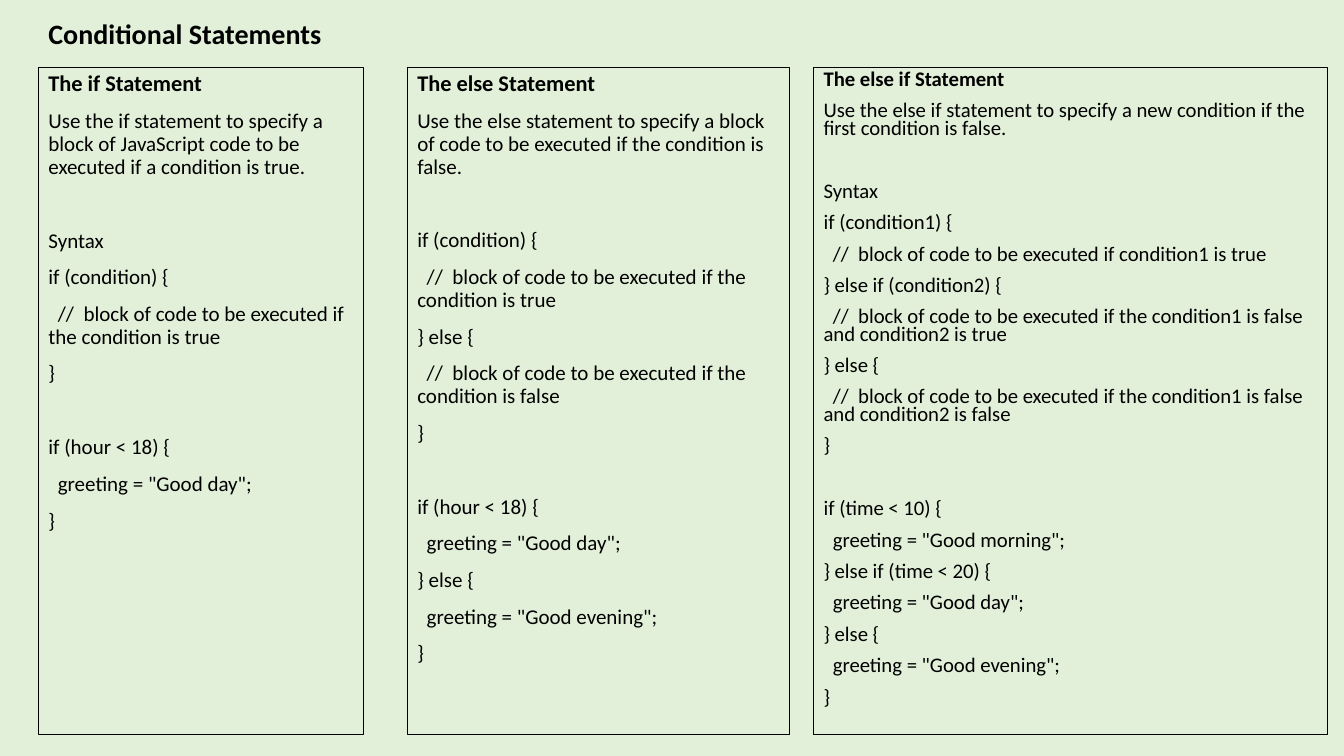
from lxml.etree import SubElement
from pptx import Presentation
from pptx.dml.color import RGBColor
from pptx.enum.text import MSO_ANCHOR, MSO_AUTO_SIZE, PP_ALIGN
from pptx.oxml.ns import qn
from pptx.util import Inches, Pt

FONT = "Calibri"
BLACK = "000000"
BACKGROUND = "E2F0D9"
PANEL_TOP, PANEL_HEIGHT = 0.67, 6.62
SPACE_BEFORE = 10

# Each panel's text is a list of blocks; a wide gap separates the blocks.
IF_BLOCKS = [
    ["The if Statement",
     "Use the if statement to specify a block of JavaScript code to be "
     "executed if a condition is true."],
    ["Syntax",
     "if (condition) {",
     "  //  block of code to be executed if the condition is true",
     "}"],
    ["if (hour < 18) {",
     '  greeting = "Good day";',
     "}"],
]
ELSE_BLOCKS = [
    ["The else Statement",
     "Use the else statement to specify a block of code to be executed "
     "if the condition is false."],
    ["if (condition) {",
     "  //  block of code to be executed if the condition is true",
     "} else {",
     "  //  block of code to be executed if the condition is false",
     "}"],
    ["if (hour < 18) {",
     '  greeting = "Good day";',
     "} else {",
     '  greeting = "Good evening";',
     "}"],
]
ELSE_IF_BLOCKS = [
    ["The else if Statement",
     "Use the else if statement to specify a new condition if the first "
     "condition is false."],
    ["Syntax",
     "if (condition1) {",
     "  //  block of code to be executed if condition1 is true",
     "} else if (condition2) {",
     "  //  block of code to be executed if the condition1 is false and "
     "condition2 is true",
     "} else {",
     "  //  block of code to be executed if the condition1 is false and "
     "condition2 is false",
     "}"],
    ["if (time < 10) {",
     '  greeting = "Good morning";',
     "} else if (time < 20) {",
     '  greeting = "Good day";',
     "} else {",
     '  greeting = "Good evening";',
     "}"],
]


def color(hex_value):
    return RGBColor.from_string(hex_value)


def place(shape, left, top, width, height):
    shape.left, shape.top = Inches(left), Inches(top)
    shape.width, shape.height = Inches(width), Inches(height)


def style_paragraph(paragraph, size, bold):
    paragraph.alignment = PP_ALIGN.LEFT
    for run in paragraph.runs:
        run.font.name = FONT
        run.font.size = Pt(size)
        run.font.bold = bold
        run.font.color.rgb = color(BLACK)


def remove_bullet(paragraph):
    properties = paragraph._p.get_or_add_pPr()
    properties.set("marL", "0")
    properties.set("indent", "0")
    SubElement(properties, qn("a:buNone"))


def set_title(slide, text):
    title = slide.shapes.title
    place(title, 0.38, 0.11, 3.21, 0.44)
    title.text_frame.text = text
    title.text_frame.auto_size = MSO_AUTO_SIZE.NONE
    title.text_frame.vertical_anchor = MSO_ANCHOR.TOP
    style_paragraph(title.text_frame.paragraphs[0], 20, True)


def fill_panel(shape, left, width, blocks, heading_size, size, line_spacing):
    """Outline a text shape and write its blocks, the first line as heading."""
    place(shape, left, PANEL_TOP, width, PANEL_HEIGHT)
    shape.line.color.rgb = color(BLACK)
    shape.line.width = Pt(0.75)

    frame = shape.text_frame
    frame.word_wrap = True
    frame.auto_size = MSO_AUTO_SIZE.NONE
    frame.vertical_anchor = MSO_ANCHOR.TOP

    # The gap is one skipped line: its height plus its own space before.
    block_gap = 2 * SPACE_BEFORE + 1.22 * size * line_spacing
    for block_number, block in enumerate(blocks):
        for line_number, line in enumerate(block):
            is_heading = block_number == line_number == 0
            paragraph = frame.paragraphs[0] if is_heading else frame.add_paragraph()
            remove_bullet(paragraph)
            paragraph.text = line
            paragraph.line_spacing = line_spacing
            if is_heading:
                space = 0
            elif line_number == 0:
                space = block_gap
            else:
                space = SPACE_BEFORE
            paragraph.space_before = Pt(space)
            style_paragraph(paragraph, heading_size if is_heading else size, is_heading)


def add_panel_box(slide):
    return slide.shapes.add_textbox(0, 0, Inches(1), Inches(1))


def main():
    presentation = Presentation()
    presentation.slide_width = Inches(13.33)
    presentation.slide_height = Inches(7.5)
    slide = presentation.slides.add_slide(presentation.slide_layouts[1])
    slide.background.fill.solid()
    slide.background.fill.fore_color.rgb = color(BACKGROUND)

    set_title(slide, "Conditional Statements")
    fill_panel(slide.placeholders[1], 0.38, 3.23, IF_BLOCKS, 16, 15, 0.9)
    fill_panel(add_panel_box(slide), 4.04, 3.79, ELSE_BLOCKS, 16, 15, 0.9)
    fill_panel(add_panel_box(slide), 8.07, 5.1, ELSE_IF_BLOCKS, 14.8, 14.8, 0.7)
    presentation.save("out.pptx")


if __name__ == "__main__":
    main()
